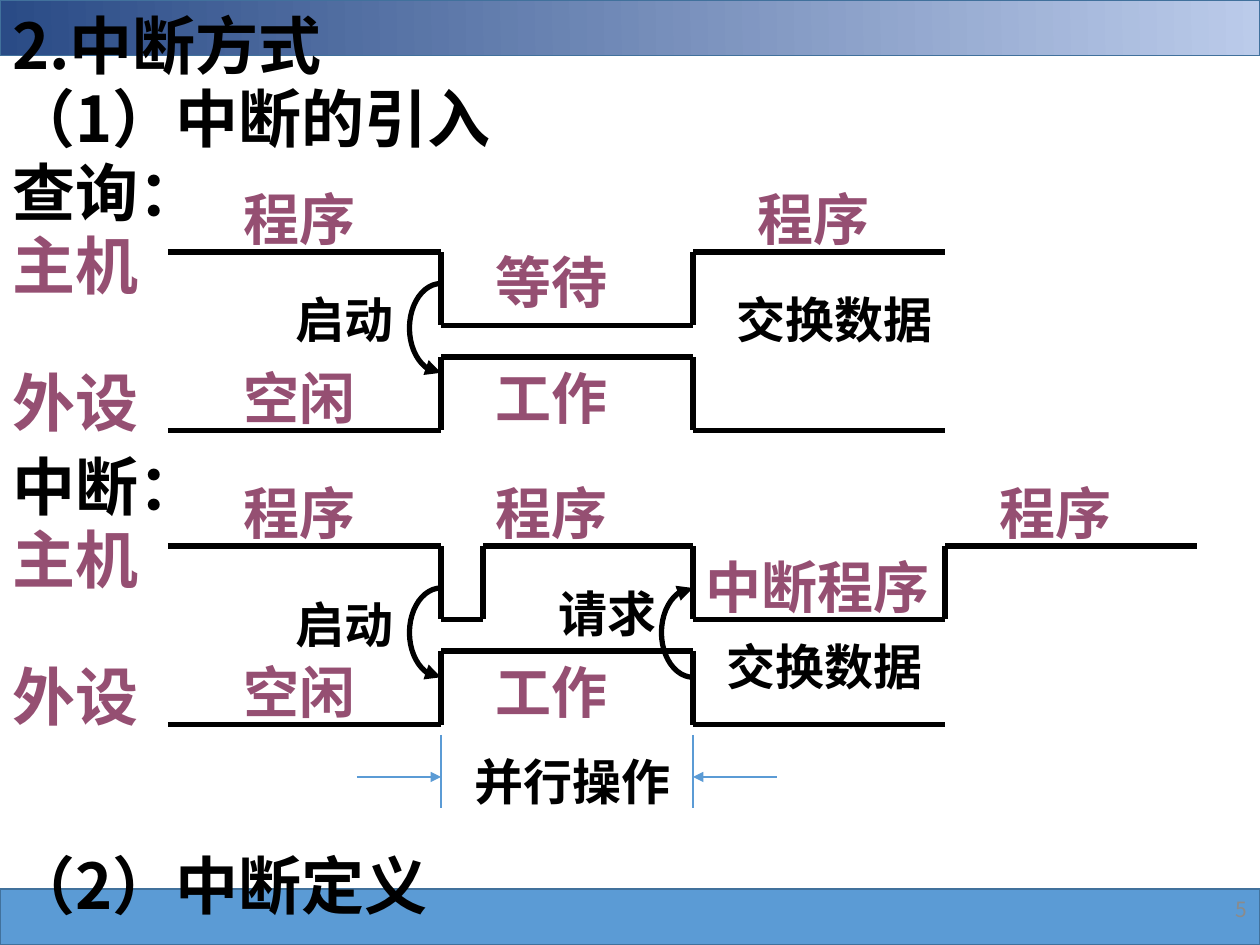
from lxml.etree import SubElement
from pptx import Presentation
from pptx.dml.color import RGBColor
from pptx.enum.shapes import MSO_CONNECTOR as Link, MSO_SHAPE as Kind
from pptx.enum.text import PP_ALIGN as Align
from pptx.oxml.ns import qn
from pptx.util import Inches, Pt

INK, PLUM, BLUE, EDGE = "000000", "954F72", "5B9BD5", "41719C"
SANS, SERIF = "Noto Sans CJK SC", "Times New Roman"
COLS, ROWS = 120, 90

deck = Presentation()
deck.slide_width, deck.slide_height = Inches(10), Inches(7.5)
slide = deck.slides.add_slide(deck.slide_layouts[6])
shapes = slide.shapes
unit = deck.slide_width / COLS


def grid(*cells):
    """Turn grid columns and rows into slide lengths."""
    return [round(cell * unit) for cell in cells]


def hue(code):
    return RGBColor.from_string(code)


# Bands at the top and bottom
band = 5.3
for top in (ROWS - band, 0):
    bar = shapes.add_shape(Kind.RECTANGLE, *grid(0, top, COLS, band))
    bar.shadow.inherit = False
    bar.line.color.rgb, bar.line.width = hue(EDGE), Pt(1)
    if top:
        bar.fill.solid()
        bar.fill.fore_color.rgb = hue(BLUE)
    else:
        bar.fill.gradient()
        bar.fill.gradient_angle = 1
        for stop, code in zip(bar.fill.gradient_stops, ("2A4B86", "BBCBEA")):
            stop.color.rgb = hue(code)

# Signal levels: each wave steps between two rows at the given columns
waves = [
    ((16, 42, 66, 90), 24, 31),
    ((16, 42, 66, 90), 41, 34),
    ((16, 42, 46, 66, 90, 114), 52, 59),
    ((16, 42, 66, 90), 69, 62),
]
lines = []
for cols, rest, other in waves:
    for i, (left, right) in enumerate(zip(cols, cols[1:])):
        row, after = (other, rest) if i % 2 else (rest, other)
        lines.append((left, row, right, row, INK, 3, None))
        if right != cols[-1]:
            lines.append((right, row, right, after, INK, 3, None))

# Span of the parallel work
lines += [(col, 70, col, 77, BLUE, 1.5, None) for col in (42, 66)]
lines += [(34, 74, 42, 74, BLUE, 1.5, "tailEnd"),
          (66, 74, 74, 74, BLUE, 1.5, "headEnd")]

for x1, y1, x2, y2, code, width, tip in lines:
    line = shapes.add_connector(Link.STRAIGHT, *grid(x1, y1, x2, y2))
    line.line.color.rgb, line.line.width = hue(code), Pt(width)
    SubElement(line._element.spPr, qn("a:effectLst"))
    if tip:
        SubElement(line.line._get_or_add_ln(), qn("a:" + tip), type="triangle")

# Start and request arrows: left half of an ellipse, from bottom to top
for col, row, tip in ((42, 27, "headEnd"), (42, 56, "headEnd"), (66, 56, "tailEnd")):
    arc = shapes.add_shape(Kind.ARC, *grid(col - 3, row, 6, 8.5))
    arc.adjustments[0], arc.adjustments[1] = 54, 162
    arc.shadow.inherit = False
    arc.fill.background()
    arc.line.color.rgb, arc.line.width = hue(INK), Pt(3)
    SubElement(arc.line._get_or_add_ln(), qn("a:" + tip), type="triangle")

# Labels by style: size, font, colour, box height, then text, column, row, width
styles = [
    (36, SANS, INK, 8.4, [
        ("2.中断方式", 0, 0, 90), ("（1）中断的引入", 0, 7, 56),
        ("查询：", 0, 14, 31), ("中断：", 0, 42, 31), ("（2）中断定义", 0, 80, 56)]),
    (36, SANS, PLUM, 8.4, [
        ("主机", 0, 21, 18), ("外设", 0, 34, 18),
        ("主机", 0, 49, 18), ("外设", 0, 62, 18)]),
    (32, SERIF, PLUM, 7.7, [
        ("程序", 22, 17, 15), ("等待", 46, 23, 15), ("程序", 71, 17, 22),
        ("空闲", 22, 34, 15), ("工作", 46, 34, 15),
        ("程序", 22, 45, 15), ("程序", 46, 45, 22), ("程序", 94, 45, 22),
        ("中断程序", 66, 52, 27), ("空闲", 22, 62, 15), ("工作", 46, 62, 15)]),
    (28, SERIF, INK, 6.8, [
        ("启动", 27, 27, 13), ("交换数据", 69, 27, 24), ("启动", 27, 56, 13),
        ("请求", 52, 55, 13), ("交换数据", 68, 60, 24), ("并行操作", 44, 71, 27)]),
    (12, SANS, "8B8B8B", 4, [("5", 110, 84.8, 10)]),
]
for size, face, code, high, labels in styles:
    for text, col, row, wide in labels:
        frame = shapes.add_textbox(*grid(col, row, wide, high)).text_frame
        frame.word_wrap = True
        para = frame.paragraphs[0]
        run = para.add_run()
        run.text = text
        font = run.font
        font.size, font.name, font.color.rgb = Pt(size), face, hue(code)
        font.bold = size > 12
        SubElement(font._element, qn("a:ea"), typeface=SANS)
        if size == 12:
            para.alignment = Align.RIGHT

deck.save("out.pptx")
